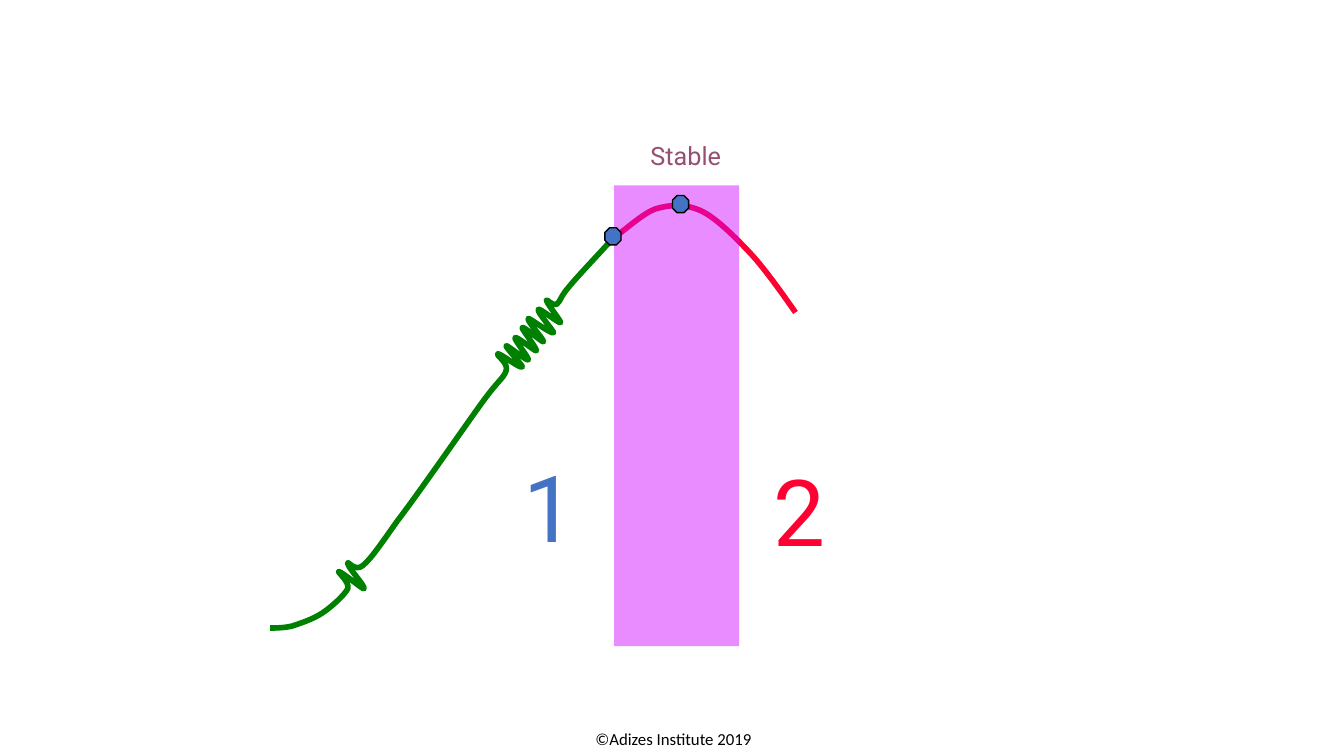
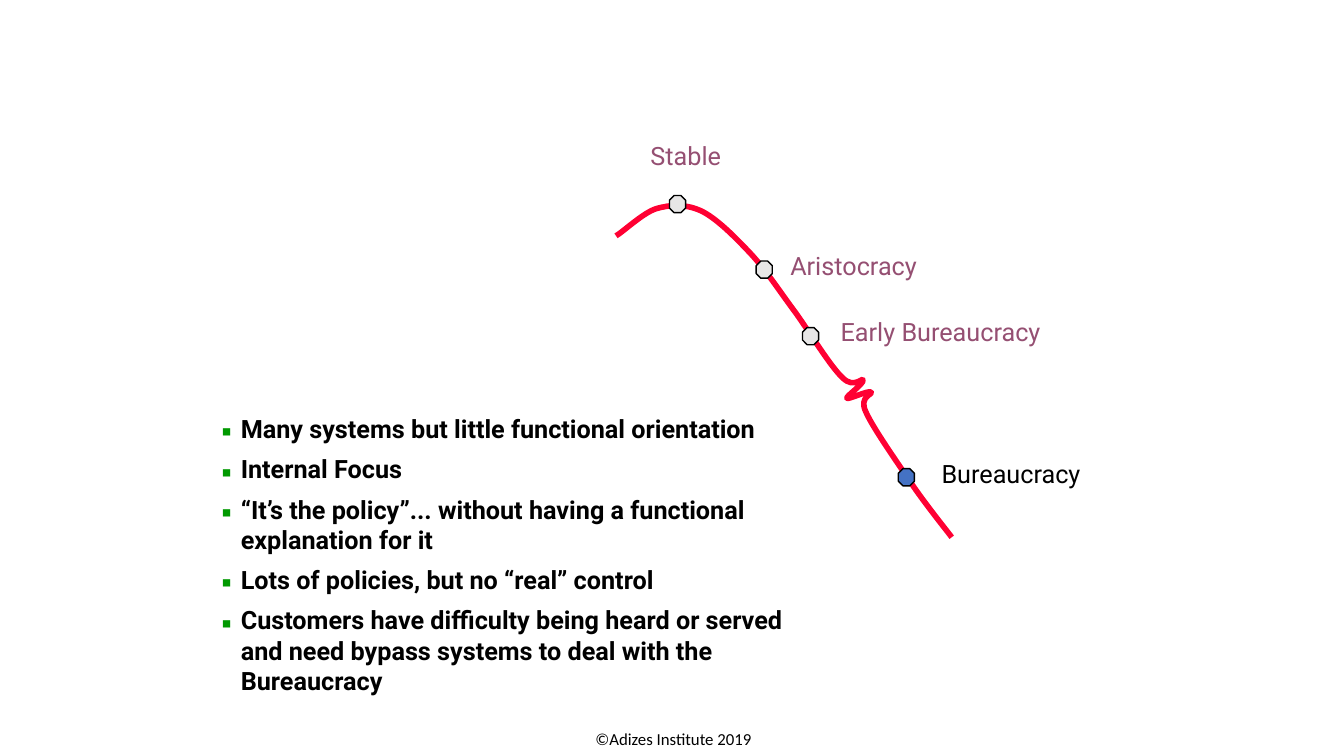
from dataclasses import dataclass

import pptx
import pptx.dml.color
import pptx.enum.shapes
import pptx.enum.text
import pptx.oxml.ns
import pptx.util
from lxml import etree


@dataclass(frozen=True)
class Theme:
    growth: str = "008000"
    decline: str = "FF0033"
    band: str = "CC00FF"
    active: str = "4472C4"
    passed: str = "E7E6E6"
    stage: str = "954F72"
    ink: str = "000000"
    bullet: str = "009900"
    font: str = "Roboto"
    bullet_font: str = "Noto Sans Symbols"
    footer_font: str = "Calibri"
    body_size: int = 18
    footer_size: int = 12
    phase_size: int = 66
    curve_width: int = 4


THEME = Theme()
SLIDE_SIZE = (13.33, 7.5)
MARKER_SIZE = (0.16, 0.17)
LEFT = pptx.enum.text.PP_ALIGN.LEFT
CENTER = pptx.enum.text.PP_ALIGN.CENTER
RIGHT = pptx.enum.text.PP_ALIGN.RIGHT

FOOTER = "©Adizes Institute 2019"
FOOTER_AREA = (4.46, 7.19, 4.44, 0.3)
STABLE = ("Stable", (6.09, 1.34, 1.16, 0.4), THEME.stage, RIGHT)

# Each curve is a start point, then Bézier segments: two controls and an end.
GROWTH_START = (2.68, 6.23)
GROWTH = [
    (2.72, 6.23, 2.82, 6.23, 2.9, 6.21), (2.99, 6.18, 3.11, 6.14, 3.2, 6.08),
    (3.29, 6.02, 3.42, 5.9, 3.45, 5.84), (3.47, 5.77, 3.34, 5.67, 3.36, 5.67),
    (3.39, 5.67, 3.6, 5.85, 3.61, 5.84), (3.63, 5.82, 3.45, 5.63, 3.45, 5.59),
    (3.44, 5.55, 3.52, 5.68, 3.6, 5.61), (3.68, 5.54, 3.75, 5.44, 3.94, 5.17),
    (4.14, 4.91, 4.59, 4.26, 4.77, 4.01), (4.95, 3.76, 4.99, 3.76, 5.02, 3.68),
    (5.05, 3.6, 4.91, 3.52, 4.94, 3.51), (4.97, 3.51, 5.16, 3.66, 5.18, 3.64),
    (5.19, 3.63, 5.01, 3.44, 5.02, 3.43), (5.03, 3.42, 5.22, 3.58, 5.24, 3.57),
    (5.25, 3.55, 5.09, 3.36, 5.11, 3.35), (5.12, 3.33, 5.31, 3.49, 5.32, 3.48),
    (5.33, 3.46, 5.17, 3.26, 5.18, 3.25), (5.19, 3.23, 5.38, 3.4, 5.39, 3.39),
    (5.4, 3.37, 5.22, 3.18, 5.24, 3.16), (5.25, 3.15, 5.47, 3.32, 5.49, 3.3),
    (5.5, 3.29, 5.32, 3.09, 5.34, 3.07), (5.35, 3.05, 5.54, 3.21, 5.56, 3.2),
    (5.57, 3.19, 5.43, 3.02, 5.42, 2.98), (5.41, 2.95, 5.48, 3.04, 5.52, 3.02),
    (5.56, 2.99, 5.56, 2.94, 5.64, 2.85), (5.72, 2.75, 5.94, 2.52, 6.02, 2.43),
    (6.1, 2.35, 6.1, 2.36, 6.12, 2.34),
]
CREST_START = (6.11, 2.34)
CREST = [
    (6.18, 2.3, 6.38, 2.11, 6.51, 2.07), (6.65, 2.03, 6.79, 2.02, 6.95, 2.09),
    (7.1, 2.16, 7.28, 2.34, 7.44, 2.51),
]
EARLY_DECLINE = [(7.6, 2.68, 7.82, 3, 7.89, 3.1)]
FULL_DECLINE = [
    (7.6, 2.68, 7.74, 2.9, 7.89, 3.1), (8.04, 3.31, 8.24, 3.64, 8.36, 3.75),
    (8.47, 3.86, 8.56, 3.74, 8.56, 3.77), (8.57, 3.81, 8.39, 3.93, 8.4, 3.95),
    (8.41, 3.97, 8.61, 3.87, 8.64, 3.89), (8.67, 3.91, 8.51, 3.93, 8.59, 4.09),
    (8.66, 4.25, 8.93, 4.63, 9.07, 4.84), (9.21, 5.04, 9.38, 5.25, 9.44, 5.33),
]

STABLE_BAND = (6.09, 1.84, 1.24, 4.57)
PHASES = [("1", (5.09, 4.42, 0.66, 1.2), THEME.active),
          ("2", (7.57, 4.46, 0.66, 1.2), THEME.decline)]

# Markers are placed by their top left corner.
STABLE_LIMITS = [(6, 2.26), (6.67, 1.94)]
PASSED_STAGES = [(6.64, 1.94), (7.5, 2.59), (7.96, 3.25)]
CURRENT_STAGE = (8.91, 4.65)
STAGE_LABELS = [
    STABLE,
    ("Aristocracy", (7.74, 2.43, 1.83, 0.4), THEME.stage, LEFT),
    ("Early Bureaucracy", (8.24, 3.09, 2.77, 0.4), THEME.stage, LEFT),
    ("Bureaucracy", (9.24, 4.5, 1.83, 0.4), THEME.ink, LEFT),
]
TRAITS_AREA = (2.1, 4.05, 6.23, 2.99)
TRAITS = [
    "Many systems but little functional orientation",
    "Internal Focus",
    "“It’s the policy”... without having a functional explanation for it",
    "Lots of policies, but no “real” control",
    "Customers have difficulty being heard or served and need bypass systems "
    "to deal with the Bureaucracy",
]


def rgb(color):
    return pptx.dml.color.RGBColor.from_string(color)


def inches(values):
    return [pptx.util.Inches(value) for value in values]


def add_child(parent, tag, **attributes):
    return etree.SubElement(parent, pptx.oxml.ns.qn(tag), attributes)


def bend(curve):
    """Turn every three straight steps of an outline into one Bézier segment."""
    outline = curve._element.find(".//" + pptx.oxml.ns.qn("a:path"))
    steps = outline.findall(pptx.oxml.ns.qn("a:lnTo"))
    for first in range(0, len(steps), 3):
        segment = add_child(outline, "a:cubicBezTo")
        for step in steps[first:first + 3]:
            segment.append(step[0])
            outline.remove(step)


def add_curve(slide, start, segments, color):
    """Draw a chain of Bézier segments as one open, unfilled outline."""
    points = [inches(segment[i:i + 2]) for segment in segments
              for i in (0, 2, 4)]
    outline = slide.shapes.build_freeform(*inches(start))
    outline.add_line_segments(points, close=False)
    curve = outline.convert_to_shape()
    bend(curve)
    curve.shadow.inherit = False
    curve.fill.background()
    curve.line.color.rgb = rgb(color)
    curve.line.width = pptx.util.Pt(THEME.curve_width)
    add_child(curve.line._get_or_add_ln(), "a:round")


def add_filled(slide, kind, area, color):
    shape = slide.shapes.add_shape(kind, *inches(area))
    shape.shadow.inherit = False
    shape.fill.solid()
    shape.fill.fore_color.rgb = rgb(color)
    return shape


def add_marker(slide, corner, color):
    marker = add_filled(slide, pptx.enum.shapes.MSO_SHAPE.OCTAGON,
                        corner + MARKER_SIZE, color)
    marker.adjustments[0] = 0.29
    marker.line.color.rgb = rgb(THEME.ink)
    marker.line.width = pptx.util.Pt(1)


def add_stable_band(slide):
    band = add_filled(slide, pptx.enum.shapes.MSO_SHAPE.RECTANGLE,
                      STABLE_BAND, THEME.band)
    band.line.fill.background()
    tint = band._element.spPr.find(".//" + pptx.oxml.ns.qn("a:srgbClr"))
    add_child(tint, "a:alpha", val="45000")


def add_text_frame(slide, area):
    frame = slide.shapes.add_textbox(*inches(area)).text_frame
    frame.word_wrap = True
    return frame


def add_run(paragraph, text, color, size=THEME.body_size, font=THEME.font,
            bold=False):
    run = paragraph.add_run()
    run.text = text
    run.font.name = font
    run.font.size = pptx.util.Pt(size)
    run.font.bold = bold
    run.font.color.rgb = rgb(color)


def add_label(slide, text, area, color, align=LEFT, size=THEME.body_size):
    frame = add_text_frame(slide, area)
    frame.auto_size = pptx.enum.text.MSO_AUTO_SIZE.SHAPE_TO_FIT_TEXT
    frame.paragraphs[0].alignment = align
    add_run(frame.paragraphs[0], text, color, size)


def add_bullet(paragraph):
    properties = paragraph._p.get_or_add_pPr()
    indent = pptx.util.Inches(0.19)
    properties.set("marL", str(indent))
    properties.set("indent", str(-indent))
    add_child(add_child(properties, "a:buClr"), "a:srgbClr", val=THEME.bullet)
    add_child(properties, "a:buFont", typeface=THEME.bullet_font)
    add_child(properties, "a:buChar", char="▪")


def add_traits(slide):
    frame = add_text_frame(slide, TRAITS_AREA)
    gap = pptx.util.Pt(0.2 * THEME.body_size)
    for index, trait in enumerate(TRAITS):
        paragraph = frame.add_paragraph() if index else frame.paragraphs[0]
        add_bullet(paragraph)
        if index:
            paragraph.space_before = gap
        paragraph.space_after = gap
        add_run(paragraph, trait, THEME.ink, bold=True)


def add_slide(deck):
    """Add a blank slide with the shared footer."""
    slide = deck.slides.add_slide(deck.slide_layouts[6])
    frame = add_text_frame(slide, FOOTER_AREA)
    frame.margin_top = pptx.util.Inches(0.06)
    footer = frame.paragraphs[0]
    footer.alignment = CENTER
    footer.line_spacing = 0.93
    add_run(footer, FOOTER, THEME.ink, THEME.footer_size, THEME.footer_font)
    return slide


def build_stable_slide(deck):
    slide = add_slide(deck)
    add_curve(slide, GROWTH_START, GROWTH, THEME.growth)
    add_curve(slide, CREST_START, CREST + EARLY_DECLINE, THEME.decline)
    add_stable_band(slide)
    for corner in STABLE_LIMITS:
        add_marker(slide, corner, THEME.active)
    for number, area, color in PHASES:
        add_label(slide, number, area, color, size=THEME.phase_size)
    add_label(slide, *STABLE)


def build_bureaucracy_slide(deck):
    slide = add_slide(deck)
    add_curve(slide, CREST_START, CREST + FULL_DECLINE, THEME.decline)
    for corner in PASSED_STAGES:
        add_marker(slide, corner, THEME.passed)
    add_marker(slide, CURRENT_STAGE, THEME.active)
    for label in STAGE_LABELS:
        add_label(slide, *label)
    add_traits(slide)


def main():
    deck = pptx.Presentation()
    deck.slide_width, deck.slide_height = inches(SLIDE_SIZE)
    build_stable_slide(deck)
    build_bureaucracy_slide(deck)
    deck.save("out.pptx")


if __name__ == "__main__":
    main()
